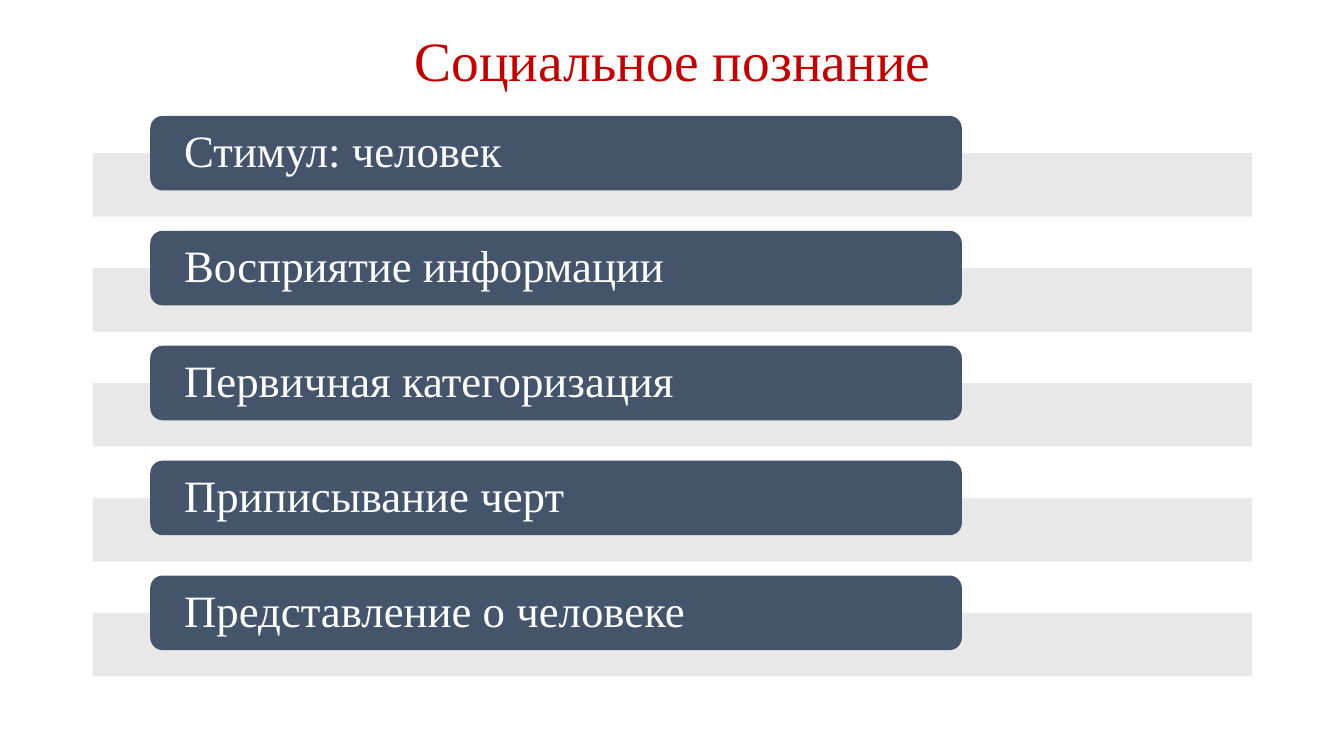
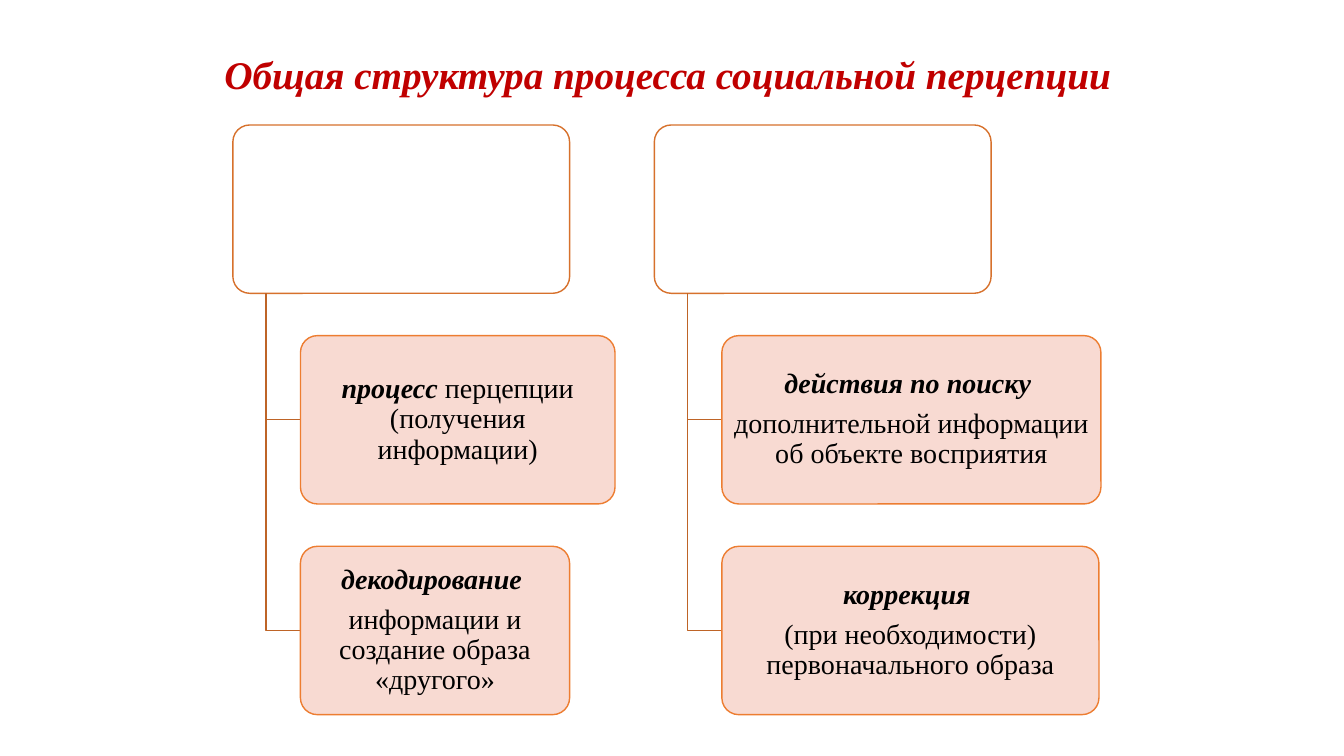
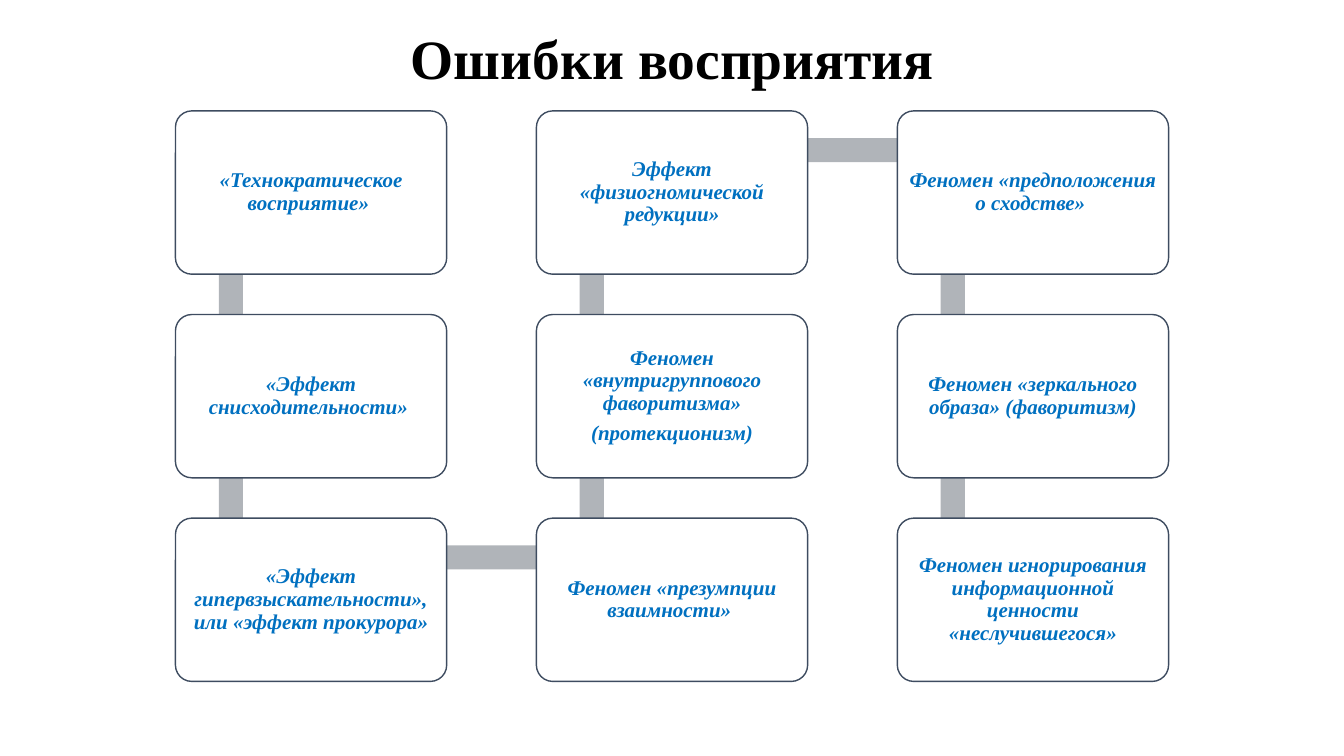
from pptx import Presentation
from pptx.dml.color import RGBColor
from pptx.enum.shapes import MSO_SHAPE
from pptx.enum.text import MSO_ANCHOR, PP_ALIGN
from pptx.oxml import parse_xml
from pptx.oxml.ns import nsdecls
from pptx.util import Inches, Pt

FACE = "Times New Roman"
RED, BLACK, WHITE = "C00000", "000000", "FFFFFF"
NAVY, BAND = "44546A", "E7E6E6"
PINK, ORANGE, RUST, BROWN = "F8D7CE", "ED7D31", "D7712C", "BE6427"
BLUE, SLATE, GREY = "0070C0", "3E4C60", "B0B4B9"

LEFT, WIDE = 0.92, 11.5
STRONG = {"bold": True, "italic": True}

STEPS = [
    "Стимул: человек",
    "Восприятие информации",
    "Первичная категоризация",
    "Приписывание черт",
    "Представление о человеке",
]

# Each branch: width, then paragraphs made of (text, format) runs.
TREES = [
    [
        (3.12, [[("процесс", STRONG), (" перцепции (получения информации)", {})]]),
        (2.67, [[("декодирование ", STRONG)],
                [("информации и создание образа «другого»", {})]]),
    ],
    [
        (3.76, [[("действия по поиску ", STRONG)],
                [("дополнительной информации об объекте восприятия", {})]]),
        (3.74, [[("коррекция ", STRONG)],
                [("(при необходимости) первоначального образа", {})]]),
    ],
]

# In the order of the winding path: down, up, down.
ERRORS = [
    ["«Технократическое восприятие» "],
    ["«Эффект снисходительности» "],
    ["«Эффект гипервзыскательности», или «эффект прокурора»"],
    ["Феномен «презумпции взаимности» "],
    ["Феномен «внутригруппового фаворитизма»", "(протекционизм)"],
    ["Эффект «физиогномической редукции»"],
    ["Феномен «предположения о сходстве» "],
    ["Феномен «зеркального образа» (фаворитизм)"],
    ["Феномен игнорирования информационной ценности «неслучившегося»"],
]


def color(code):
    return RGBColor.from_string(code)


def apply(target, values):
    for name, value in values.items():
        setattr(target, name, value)


def stroke(shape, line):
    if line:
        shape.line.color.rgb = color(line)
        shape.line.width = Pt(1)
    else:
        shape.line.fill.background()


def fade(shape, share):
    """Set the opacity of a solid fill, in percent."""
    tone = shape.fill._xPr.solidFill.srgbClr
    tone.append(parse_xml(f'<a:alpha {nsdecls("a")} val="{share * 1000}"/>'))


def block(slide, kind, at, fill, line=None, adj=None, share=100):
    shape = slide.shapes.add_shape(kind, *map(Inches, at))
    shape.shadow.inherit = False
    shape.fill.solid()
    shape.fill.fore_color.rgb = color(fill)
    if share < 100:
        fade(shape, share)
    stroke(shape, line)
    if adj:
        shape.adjustments[0] = adj
    return shape


def tile(slide, at, fill, line, share=100):
    return block(slide, MSO_SHAPE.ROUNDED_RECTANGLE, at, fill, line, 0.1, share)


def write(shape, paras, size, tone, pad, align=PP_ALIGN.CENTER):
    """Fill a shape with paragraphs of (text, format) runs."""
    frame = shape.text_frame
    side, edge = map(Inches, pad)
    apply(frame, {
        "word_wrap": True, "vertical_anchor": MSO_ANCHOR.MIDDLE,
        "margin_left": side, "margin_right": side,
        "margin_top": edge, "margin_bottom": edge,
    })
    for num, runs in enumerate(paras):
        para = frame.add_paragraph() if num else frame.paragraphs[0]
        apply(para, {"alignment": align, "line_spacing": 0.9,
                     "space_after": Pt(0.35 * size)})
        for text, extra in runs:
            run = para.add_run()
            run.text = text
            apply(run.font, {"name": FACE, "size": Pt(size), **extra})
            run.font.color.rgb = color(tone)


def start(deck, text, size, tone, high, extra):
    """Add a blank slide with a heading."""
    slide = deck.slides.add_slide(deck.slide_layouts[6])
    head = slide.shapes.add_textbox(*map(Inches, (LEFT, 0.4, WIDE, high)))
    write(head, [[(text, extra)]], size, tone, (0.1, 0.05))
    return slide


def elbow(slide, left, top, right, low):
    pen = slide.shapes.build_freeform(Inches(left), Inches(top))
    pen.add_line_segments([(Inches(left), Inches(low)),
                           (Inches(right), Inches(low))], close=False)
    shape = pen.convert_to_shape()
    shape.shadow.inherit = False
    shape.fill.background()
    stroke(shape, BROWN)


def link(slide, first, last):
    """Draw a thick bar between two pins of the path."""
    thick = 0.24
    (left, right), (top, low) = map(sorted, zip(first, last))
    if left == right:
        at = (left - thick / 2, top, thick, low - top)
    else:
        at = (left, top - thick / 2, right - left, thick)
    block(slide, MSO_SHAPE.RECTANGLE, at, GREY)


def stages(deck):
    slide = start(deck, "Социальное познание", 39.6, RED, 0.47, {})
    for num, text in enumerate(STEPS):
        top = 1.15 + 1.14 * num
        block(slide, MSO_SHAPE.RECTANGLE, (LEFT, top + 0.37, WIDE, 0.63),
              BAND, share=90)
        bar = block(slide, MSO_SHAPE.ROUNDED_RECTANGLE,
                    (1.49, top, 8.05, 0.74), NAVY)
        write(bar, [[(text, {})]], 32, WHITE, (0.3, 0), PP_ALIGN.LEFT)


def trees(deck):
    slide = start(deck, "Общая структура процесса социальной перцепции ",
                  28, RED, 0.73, STRONG)
    high, step = 1.67, 2.09
    for col, tree in enumerate(TREES):
        left, top = 2.31 + 4.18 * col, 1.24
        tile(slide, (left, top, 3.34, high), WHITE, RUST)
        for row, (wide, paras) in enumerate(tree, 1):
            child, low = left + 0.67, top + step * row
            elbow(slide, left + 0.33, top + high, child, low + high / 2)
            leaf = tile(slide, (child, low, wide, high), PINK, ORANGE, 90)
            write(leaf, paras, 20, BLACK, (0.04, 0.03))


def path_spots(count, rows=3):
    """Yield corners of a grid that winds down and up by column."""
    for num in range(count):
        col, row = divmod(num, rows)
        if col % 2:
            row = rows - 1 - row
        yield 1.74 + 3.58 * col, 1.1 + 2.02 * row


def errors(deck):
    slide = start(deck, "Ошибки восприятия", 39.6, BLACK, 0.43, {"bold": True})
    spots = list(path_spots(len(ERRORS)))
    pins = [(left + 0.55, top + 0.39) for left, top in spots]
    for first, last in zip(pins, pins[1:]):
        link(slide, first, last)
    for spot, lines in zip(spots, ERRORS):
        card = tile(slide, (*spot, 2.69, 1.62), WHITE, SLATE)
        write(card, [[(text, STRONG)] for text in lines], 15, BLUE, (0.06, 0.06))


def main():
    deck = Presentation()
    apply(deck, {"slide_width": Inches(13.33), "slide_height": Inches(7.5)})
    for build in (stages, trees, errors):
        build(deck)
    deck.save("out.pptx")


if __name__ == "__main__":
    main()
